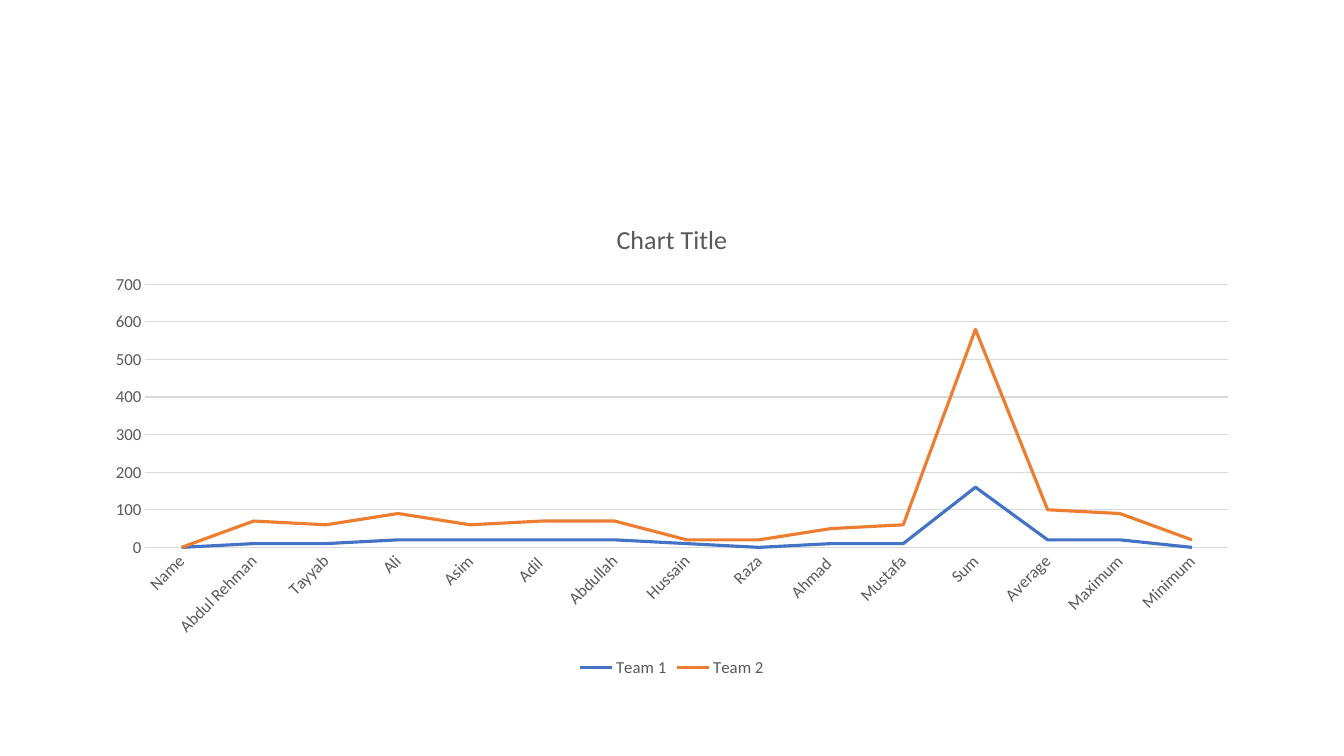
from pptx import Presentation
from pptx import util as u
from pptx.chart.data import CategoryChartData
from pptx.dml.color import RGBColor
from pptx.enum import chart as ch

GREY = RGBColor(0x59, 0x59, 0x59)
RULE = RGBColor(0xD9, 0xD9, 0xD9)
BLUE = RGBColor(0x44, 0x72, 0xC4)
ORANGE = RGBColor(0xED, 0x7D, 0x31)

names = ["Name", "Abdul Rehman", "Tayyab", "Ali", "Asim", "Adil ", "Abdullah",
         "Hussain", "Raza", "Ahmad ", "Mustafa", "Sum", "Average", " Maximum", "Minimum"]
teams = [
    ("Team 1", BLUE, [0, 10, 10, 20, 20, 20, 20, 10, 0, 10, 10, 160, 20, 20, 0]),
    ("Team 2", ORANGE, [0, 70, 60, 90, 60, 70, 70, 20, 20, 50, 60, 580, 100, 90, 20]),
]


def set_font(font, size):
    values = {"name": "Calibri", "size": u.Pt(size), "bold": False}
    for key, value in values.items():
        setattr(font, key, value)
    font.color.rgb = GREY


def set_line(line, color, width):
    line.color.rgb = color
    line.width = u.Pt(width)


prs = Presentation()
prs.slide_width, prs.slide_height = u.Inches(13.33), u.Inches(7.5)
s = prs.slides.add_slide(prs.slide_layouts[6])

data = CategoryChartData()
data.categories = names
for name, color, scores in teams:
    data.add_series(name, scores)

margin = u.Inches(0.92)
top = u.Inches(2)
chart = s.shapes.add_chart(ch.XL_CHART_TYPE.LINE, margin, top,
                           prs.slide_width - 2 * margin, u.Inches(4.76), data).chart
set_font(chart.font, 12)

chart.has_title = True
tf = chart.chart_title.text_frame
tf.text = "Chart Title"
set_font(tf.paragraphs[0].runs[0].font, 18.6)
chart.chart_title.include_in_layout = False

chart.has_legend = True
legend = chart.legend
legend.position = ch.XL_LEGEND_POSITION.BOTTOM
legend.include_in_layout = False
set_font(legend.font, 12)

cat, val = chart.category_axis, chart.value_axis
for axis in (cat, val):
    axis.major_tick_mark = axis.minor_tick_mark = ch.XL_TICK_MARK.NONE
    set_font(axis.tick_labels.font, 12)
set_line(cat.format.line, RULE, 0.75)
val.format.line.fill.background()
val.has_major_gridlines = True
set_line(val.major_gridlines.format.line, RULE, 0.75)
for key, value in {"minimum_scale": 0, "maximum_scale": 700, "major_unit": 100}.items():
    setattr(val, key, value)

chart.plots[0].vary_by_categories = False
for series, (name, color, scores) in zip(chart.plots[0].series, teams):
    series.smooth = False
    series.marker.style = ch.XL_MARKER_STYLE.NONE
    set_line(series.format.line, color, 2.25)

prs.save("out.pptx")
